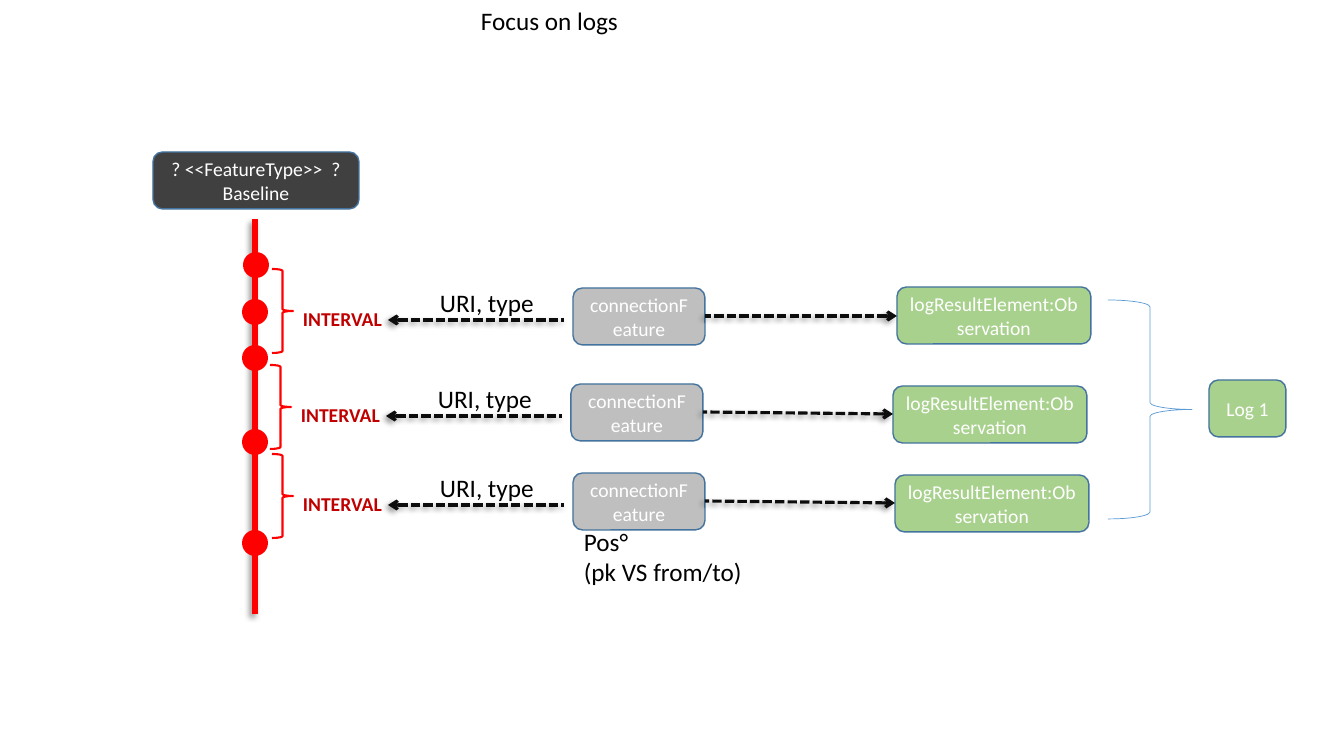
from lxml.etree import SubElement
from pptx import Presentation
from pptx.dml.color import RGBColor
from pptx.enum.dml import MSO_LINE
from pptx.enum.shapes import MSO_CONNECTOR, MSO_SHAPE
from pptx.enum.text import MSO_ANCHOR, MSO_AUTO_SIZE, PP_ALIGN
from pptx.oxml.ns import qn
from pptx.util import Pt

SCALE = 914400 / 100.8
FONT = "Calibri"
COLORS = {
    "red": "FF0000", "interval": "C00000", "black": "000000", "white": "FFFFFF",
    "arrow": "0D0D0D", "feature": "BFBFBF", "log": "A9D18E", "baseline": "404040",
    "outline": "43739E", "brace": "5B9BD5",
}


def color(name):
    """Return the named colour."""
    return RGBColor.from_string(COLORS[name])


def emu(*pixels):
    """Turn pixels into EMU."""
    return [round(pixel * SCALE) for pixel in pixels]


class Diagram:
    """Holds the style and the current slide."""

    def __init__(self, deck):
        """Add a blank slide to the deck."""
        self.shapes = deck.slides.add_slide(deck.slide_layouts[6]).shapes

    def fill_text(self, frame, lines, tint, size, bold=False, align=PP_ALIGN.LEFT):
        """Fill a text frame with one paragraph per line."""
        for index, line in enumerate(lines):
            para = frame.add_paragraph() if index else frame.paragraphs[0]
            para.alignment = align
            span = para.add_run()
            span.text = line
            span.font.color.rgb = color(tint)
            formats = {"name": FONT, "size": Pt(size), "bold": bold}
            for key, value in formats.items():
                setattr(span.font, key, value)

    def label(self, place, *lines, tint="black", size=18, bold=False):
        """Add unwrapped text in a box that grows with it."""
        frame = self.shapes.add_textbox(*emu(*place)).text_frame
        frame.word_wrap = False
        frame.auto_size = MSO_AUTO_SIZE.SHAPE_TO_FIT_TEXT
        self.fill_text(frame, lines, tint, size, bold)

    def shape(self, kind, place, fill=None, line=None, width=1):
        """Add a flat preset shape."""
        shape = self.shapes.add_shape(kind, *emu(*place))
        shape.shadow.inherit = False
        for part, tint in ((shape.fill, fill), (shape.line.fill, line)):
            if tint:
                part.solid()
                part.fore_color.rgb = color(tint)
            else:
                part.background()
        if line:
            shape.line.width = Pt(width)
        return shape

    def box(self, place, text, fill):
        """Add a rounded box with centred white text."""
        box = self.shape(MSO_SHAPE.ROUNDED_RECTANGLE, place, fill, "outline")
        frame = box.text_frame
        frame.word_wrap = True
        frame.vertical_anchor = MSO_ANCHOR.MIDDLE
        self.fill_text(frame, [text], "white", 14, align=PP_ALIGN.CENTER)

    def brace(self, place, tint, width):
        """Add a right brace."""
        self.shape(MSO_SHAPE.RIGHT_BRACE, place, line=tint, width=width)

    def dot(self, left, top):
        """Add a mark on the baseline."""
        self.shape(MSO_SHAPE.OVAL, (left, top, 26, 26), "red")

    def line(self, start, end, tint, width):
        """Add a straight line with a soft shadow."""
        line = self.shapes.add_connector(MSO_CONNECTOR.STRAIGHT, *emu(*start, *end))
        line.line.color.rgb = color(tint)
        line.line.width = Pt(width)
        effects = SubElement(line._element.spPr, qn("a:effectLst"))
        shadow = SubElement(effects, qn("a:outerShdw"), blurRad=str(Pt(4)),
                            dist=str(Pt(3)), dir="8100000", rotWithShape="0")
        tone = SubElement(shadow, qn("a:srgbClr"), val=COLORS["black"])
        SubElement(tone, qn("a:alpha"), val="40000")
        return line

    def arrow(self, tip, tail):
        """Add a dashed arrow pointing at its tip."""
        arrow = self.line(tip, tail, "arrow", 2.25)
        arrow.line.dash_style = MSO_LINE.SQUARE_DOT
        SubElement(arrow.get_or_add_ln(), qn("a:headEnd"), type="arrow")

    def interval_row(self, left, top, log_left, log_top, arrow_drop):
        """Add an interval, its connection feature and its log result."""
        self.brace((left, top, 21, 84), "red", 1.5)
        self.label((left + 21, top + 33, 117, 34), "INTERVAL",
                   tint="interval", size=14, bold=True)
        self.arrow((left + 116, top + 51), (left + 292, top + 51))
        self.box((left + 301, top + 19, 132, 57), "connectionFeature", "feature")
        self.box((log_left, log_top, 194, 57), "logResultElement:Observation", "log")
        self.label((left + 158, top + 13, 115, 40), "URI, type")
        tail = top + 47
        self.arrow((log_left, tail + arrow_drop), (left + 433, tail))


deck = Presentation()
deck.slide_width, deck.slide_height = emu(1344, 756)
page = Diagram(deck)

page.label((471, 0, 159, 40), "Focus on logs")
page.line((255, 219), (255, 614), "red", 4.5)
for dot_left, dot_top in ((243, 252), (242, 299), (242, 345), (242, 429), (242, 530)):
    page.dot(dot_left, dot_top)
page.box((153, 152, 206, 57), "? <<FeatureType>>  ? Baseline", "baseline")

ROWS = [
    (272, 269, 897, 287, 0),
    (270, 365, 893, 386, 2),
    (272, 454, 895, 475, 2),
]
for row in ROWS:
    page.interval_row(*row)

page.label((574, 521, 180, 102), "Pos°", "(pk VS from/to)")
page.brace((1108, 300, 84, 219), "brace", 0.5)
page.box((1209, 380, 77, 57), "Log 1", "log")

deck.save("out.pptx")
